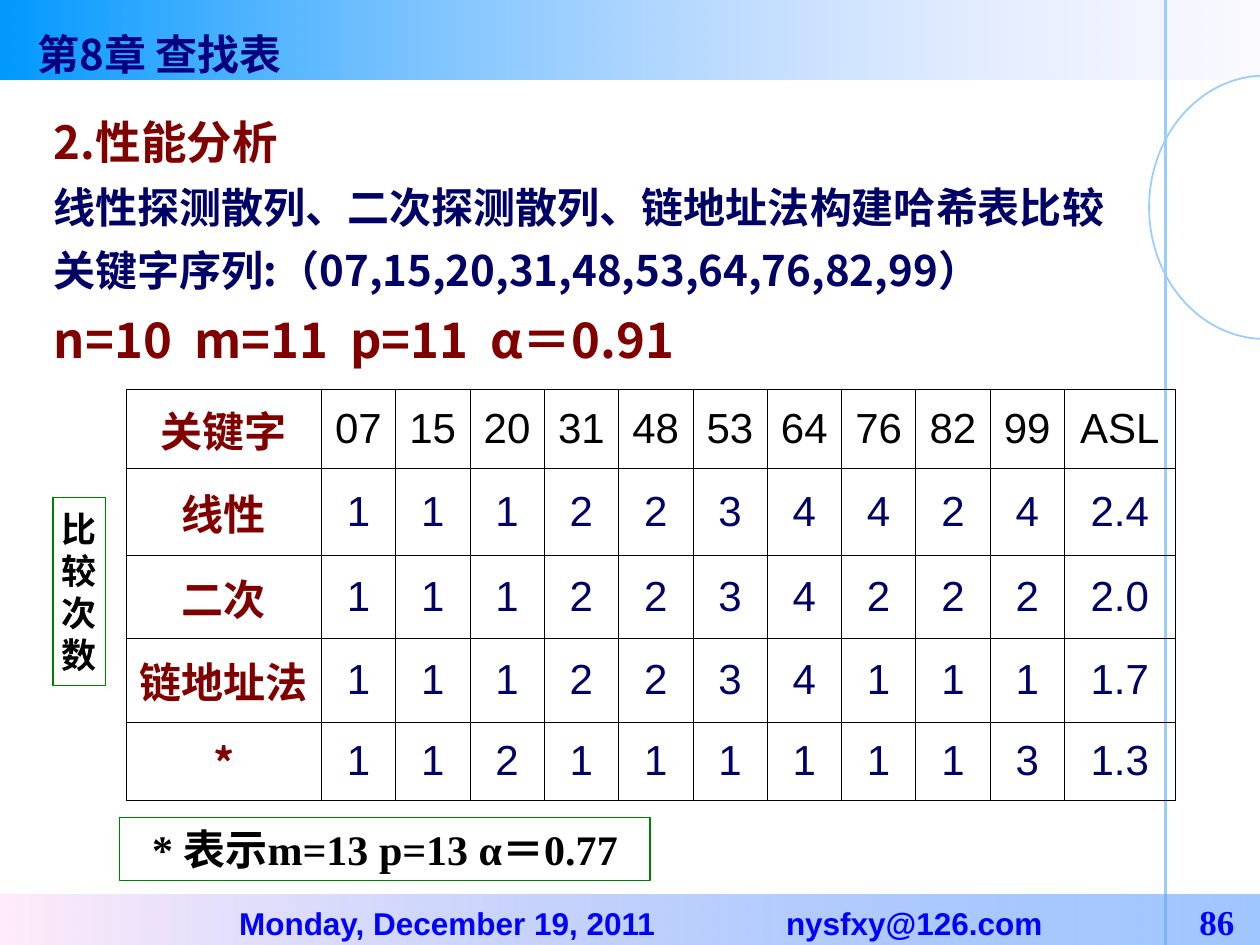
import pptx
import pptx.util
import pptx.dml.color
import pptx.enum.shapes
import pptx.enum.text
import pptx.oxml
import pptx.oxml.ns
from lxml import etree

Inches = pptx.util.Inches
Pt = pptx.util.Pt
RGBColor = pptx.dml.color.RGBColor
Shapes = pptx.enum.shapes.MSO_SHAPE
Align = pptx.enum.text.PP_ALIGN
Anchor = pptx.enum.text.MSO_ANCHOR
qn = pptx.oxml.ns.qn

HAN, SANS, SERIF = "Noto Sans CJK SC", "Arial", "Times New Roman"
BLACK = RGBColor(0x00, 0x00, 0x00)
MAROON = RGBColor(0x80, 0x00, 0x00)
NAVY = RGBColor(0x00, 0x00, 0x66)
TITLE_BLUE = RGBColor(0x00, 0x00, 0x80)
FOOTER_BLUE = RGBColor(0x00, 0x00, 0xFF)
GREEN = RGBColor(0x00, 0x80, 0x00)
PALE_BLUE = RGBColor(0x99, 0xCC, 0xFF)
SKY = RGBColor(0x00, 0x99, 0xFF)
LAVENDER = RGBColor(0xCC, 0xCC, 0xFF)
PINK = RGBColor(0xFF, 0xEB, 0xFA)
CORNFLOWER = RGBColor(0x5E, 0x9E, 0xFF)

CHAPTER = "第8章 查找表"
BODY = [
    ("2.性能分析", 26, MAROON),
    ("线性探测散列、二次探测散列、链地址法构建哈希表比较", 24, NAVY),
    ("关键字序列:（07,15,20,31,48,53,64,76,82,99）", 24, NAVY),
    ("n=10  m=11  p=11  α＝0.91", 28, MAROON),
]
COMPARISONS = [
    ["关键字", "07", "15", "20", "31", "48", "53", "64", "76", "82", "99", "ASL"],
    ["线性", "1", "1", "1", "2", "2", "3", "4", "4", "2", "4", "2.4"],
    ["二次", "1", "1", "1", "2", "2", "3", "4", "2", "2", "2", "2.0"],
    ["链地址法", "1", "1", "1", "2", "2", "3", "4", "1", "1", "1", "1.7"],
    ["*", "1", "1", "2", "1", "1", "1", "1", "1", "1", "3", "1.3"],
]
COLUMN_WIDTHS = [1.55] + [0.59] * 10 + [0.88]
ROW_HEIGHTS = [0.63, 0.69, 0.66, 0.66, 0.62]
FOOTER = [("\tMonday, December 19, 2011\tnysfxy@126.com", 18, SANS), ("\t86", 20, SERIF)]
FOOTER_TABS = [1.8, 6.14, 9.42]
NOTE = "* 表示m=13 p=13 α＝0.77"
SIDE_LABEL = "比较次数"


def write(para, text, size=24, font=HAN, color=BLACK, bold=True, align=None, spacing=None):
    span = para.add_run()
    span.text = text
    span.font.size = Pt(size)
    span.font.name = font
    span.font.bold = bold
    span.font.color.rgb = color
    latin = span.font._element.find(qn("a:latin"))
    latin.addnext(pptx.oxml.parse_xml(
        f'<a:ea xmlns:a="http://schemas.openxmlformats.org/drawingml/2006/main" typeface="{HAN}"/>'))
    if align is not None:
        para.alignment = align
    if spacing is not None:
        para.line_spacing = spacing


def add_bar(page, top, height, left_color, right_color, opacity):
    bar = page.shapes.add_shape(Shapes.RECTANGLE, 0, Inches(top), Inches(10), Inches(height))
    bar.shadow.inherit = False
    bar.line.fill.background()
    bar.fill.gradient()
    bar.fill.gradient_angle = 0
    for stop, color, position in zip(bar.fill.gradient_stops, (left_color, right_color), (0, 1)):
        stop.color.rgb = color
        stop.position = position
    color_element = bar._element.spPr.findall(".//" + qn("a:srgbClr"))[-1]
    etree.SubElement(color_element, qn("a:alpha")).set("val", str(opacity * 1000))
    return bar


def add_arc(page):
    arc = page.shapes.add_shape(Shapes.ARC, Inches(9.12), Inches(0.6), Inches(1.84), Inches(2.09))
    arc.shadow.inherit = False
    arc.fill.background()
    arc.line.color.rgb = PALE_BLUE
    arc.line.width = Pt(1)
    arc.adjustments[0] = 54
    arc.adjustments[1] = 162


def add_rule(page):
    rule = page.shapes.add_connector(
        pptx.enum.shapes.MSO_CONNECTOR.STRAIGHT, Inches(9.25), 0, Inches(9.25), Inches(7.5))
    rule.line.color.rgb = PALE_BLUE
    rule.line.width = Pt(1.5)
    etree.SubElement(rule._element.spPr, qn("a:effectLst"))


def add_footer(page):
    frame = add_bar(page, 7.1, 0.43, PINK, CORNFLOWER, 58).text_frame
    frame.word_wrap = True
    frame.vertical_anchor = Anchor.MIDDLE
    para = frame.paragraphs[0]
    para.alignment = Align.LEFT
    tabs = etree.SubElement(para._p.get_or_add_pPr(), qn("a:tabLst"))
    for position in FOOTER_TABS:
        etree.SubElement(tabs, qn("a:tab"), pos=str(Inches(position)), algn="l")
    for text, size, font in FOOTER:
        write(para, text, size=size, font=font, color=FOOTER_BLUE)


def add_text(page, place, lines, wrap=True, spacing=None):
    frame = page.shapes.add_textbox(*map(Inches, place)).text_frame
    frame.word_wrap = wrap
    for index, (text, size, color) in enumerate(lines):
        para = frame.add_paragraph() if index else frame.paragraphs[0]
        write(para, text, size=size, color=color, spacing=spacing)


def add_framed(page, place, text, size, font, margins, wrap):
    box = page.shapes.add_shape(Shapes.RECTANGLE, *map(Inches, place))
    box.shadow.inherit = False
    box.fill.background()
    box.line.color.rgb = GREEN
    box.line.width = Pt(0.75)
    frame = box.text_frame
    frame.word_wrap = wrap
    frame.vertical_anchor = Anchor.TOP
    frame.margin_left = frame.margin_right = Inches(margins[0])
    frame.margin_top = frame.margin_bottom = Inches(margins[1])
    write(frame.paragraphs[0], text, size=size, font=font, align=Align.CENTER)


def add_borders(cell):
    properties = cell._tc.get_or_add_tcPr()
    for index, side in enumerate(("a:lnL", "a:lnR", "a:lnT", "a:lnB")):
        border = etree.Element(qn(side), w=str(Pt(0.45)))
        fill = etree.SubElement(border, qn("a:solidFill"))
        etree.SubElement(fill, qn("a:srgbClr"), val=str(BLACK))
        properties.insert(index, border)


def add_comparison_table(page):
    table = page.shapes.add_table(
        len(ROW_HEIGHTS), len(COLUMN_WIDTHS), Inches(1), Inches(3.09),
        Inches(sum(COLUMN_WIDTHS)), Inches(sum(ROW_HEIGHTS))).table
    table.first_row = table.horz_banding = False
    for column, width in zip(table.columns, COLUMN_WIDTHS):
        column.width = Inches(width)
    for row, height, values in zip(table.rows, ROW_HEIGHTS, COMPARISONS):
        row.height = Inches(height)
        for index, (cell, value) in enumerate(zip(row.cells, values)):
            cell.fill.background()
            cell.vertical_anchor = Anchor.MIDDLE
            add_borders(cell)
            number_color = BLACK if values is COMPARISONS[0] else NAVY
            write(cell.text_frame.paragraphs[0], value, align=Align.CENTER,
                  font=SANS if index else HAN, bold=index == 0,
                  color=number_color if index else MAROON)


def main():
    deck = pptx.Presentation()
    deck.slide_width, deck.slide_height = Inches(10), Inches(7.5)
    page = deck.slides.add_slide(deck.slide_layouts[6])
    add_bar(page, 0, 0.63, SKY, LAVENDER, 10)
    add_arc(page)
    add_rule(page)
    add_footer(page)
    add_text(page, (0.2, 0.18, 2.33, 0.34), [(CHAPTER, 24, TITLE_BLUE)], wrap=False)
    add_text(page, (0.33, 0.75, 8.92, 2.25), BODY, spacing=1.25)
    add_comparison_table(page)
    add_framed(page, (0.95, 6.49, 4.21, 0.5), NOTE, 24, SERIF, (0.1, 0.05), False)
    add_framed(page, (0.42, 3.95, 0.42, 1.49), SIDE_LABEL, 20, SANS, (0, 0.08), True)
    deck.save("out.pptx")


if __name__ == "__main__":
    main()
